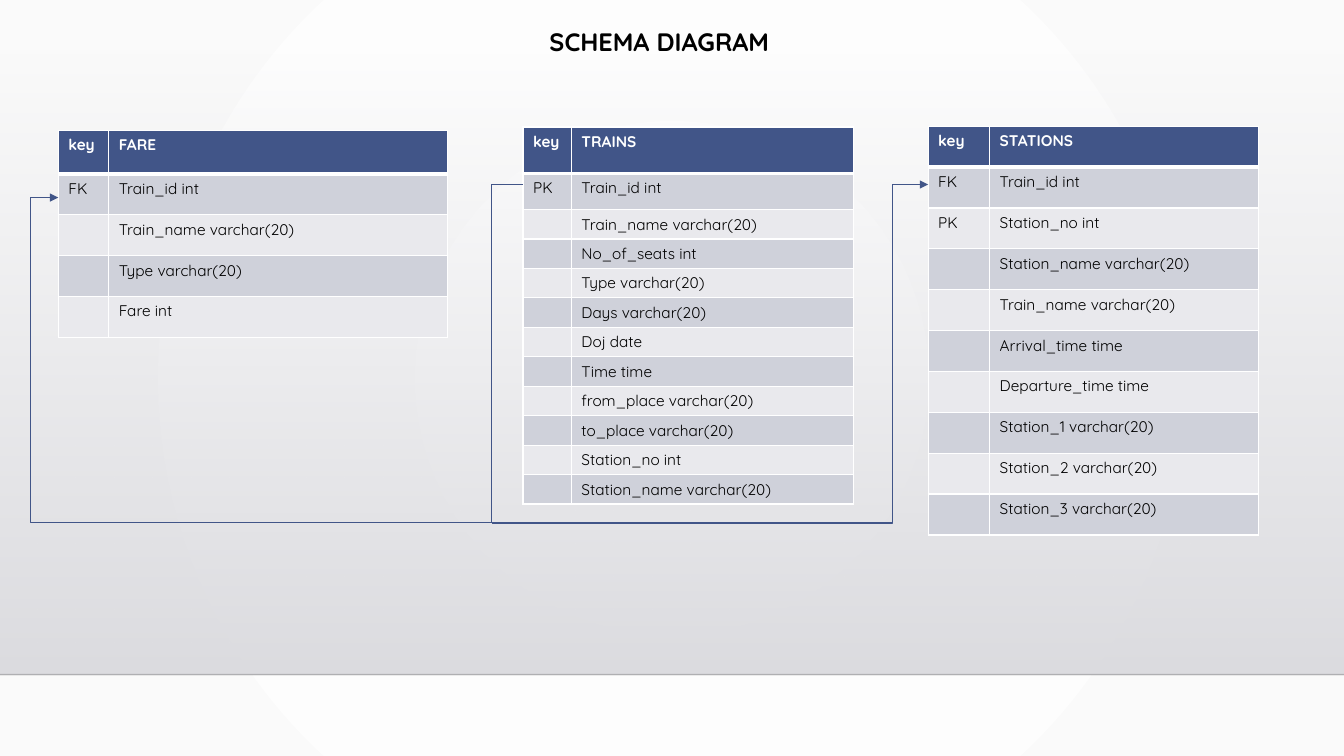
from lxml import etree
from pptx import Presentation
from pptx.dml.color import RGBColor
from pptx.enum.shapes import MSO_CONNECTOR, MSO_SHAPE
from pptx.enum.text import MSO_AUTO_SIZE, PP_ALIGN
from pptx.oxml import parse_xml
from pptx.oxml.ns import nsdecls, qn
from pptx.util import Cm, Pt

FONT = "Quicksand"
NAVY, WHITE, BLACK = "415588", "FFFFFF", "000000"
BANDS = ("CFD1DA", "E9E9ED")
SLIDE_WIDTH, SLIDE_HEIGHT = 33.87, 19.05
PANEL_TOP, PANEL_BOTTOM = 1.3, 17

# Lengths in cm; "heights" holds header row, first row and remaining rows
TABLES = [
    {"name": "FARE", "at": (1.47, 3.28), "columns": (1.27, 8.53),
     "heights": (1.1, 1.03, 1.03),
     "fields": [("FK", "Train_id int"), ("", "Train_name varchar(20)"),
                ("", "Type varchar(20)"), ("", "Fare int")]},
    {"name": "TRAINS", "at": (13.18, 3.2), "columns": (1.22, 7.11),
     "heights": (1.17, 0.91, 0.74),
     "fields": [("PK", "Train_id int"), ("", "Train_name varchar(20)"),
                ("", "No_of_seats int"), ("", "Type varchar(20)"),
                ("", "Days varchar(20)"), ("", "Doj date"), ("", "Time time"),
                ("", "from_place varchar(20)"), ("", "to_place varchar(20)"),
                ("", "Station_no int"), ("", "Station_name varchar(20)")]},
    {"name": "STATIONS", "at": (23.39, 3.18), "columns": (1.55, 6.78),
     "heights": (1.03, 1.03, 1.03),
     "fields": [("FK", "Train_id int"), ("PK", "Station_no int"),
                ("", "Station_name varchar(20)"), ("", "Train_name varchar(20)"),
                ("", "Arrival_time time"), ("", "Departure_time time"),
                ("", "Station_1 varchar(20)"), ("", "Station_2 varchar(20)"),
                ("", "Station_3 varchar(20)")]},
]

# Start, end, position of the bend as a share of the width (None: straight), arrowhead
KEY_Y, JUNCTION, STATIONS_BEND = 4.65, (12.4, 13.18), (22.5, 4.65)
LINKS = [
    (STATIONS_BEND, (23.39, KEY_Y), None, True),
    (STATIONS_BEND, JUNCTION, 0, False),
    ((13.18, KEY_Y), JUNCTION, 1, False),
    (JUNCTION, (1.47, 4.98), 1.065, True),
]


def color(value):
    return RGBColor.from_string(value)


def set_gradient(fill, values):
    fill.gradient()
    for stop, value in zip(fill.gradient_stops, values):
        stop.color.rgb = color(value)


def set_alpha(color_element, percent):
    etree.SubElement(color_element, qn("a:alpha")).set("val", str(percent * 1000))


def add_line(shapes, start, end, line_color, width, bend=None, arrow=False):
    kind = MSO_CONNECTOR.STRAIGHT if bend is None else MSO_CONNECTOR.ELBOW
    connector = shapes.add_connector(kind, *map(Cm, start + end))
    connector.line.color.rgb = color(line_color)
    connector.line.width = Pt(width)
    properties = connector._element.spPr
    if bend is not None:
        guide = etree.SubElement(properties.find(".//" + qn("a:avLst")), qn("a:gd"))
        guide.set("name", "adj1")
        guide.set("fmla", f"val {round(bend * 100000)}")
    if arrow:
        etree.SubElement(properties.find(qn("a:ln")), qn("a:tailEnd")).set("type", "triangle")
    etree.SubElement(properties, qn("a:effectLst"))
    return connector


def add_background(slide):
    fill = slide.background.fill
    set_gradient(fill, (WHITE, "FAFAFA"))
    gradient = slide._element.find(".//" + qn("a:gradFill"))
    gradient.replace(gradient.find(qn("a:lin")), parse_xml(
        f'<a:path {nsdecls("a")} path="circle">'
        '<a:fillToRect l="50000" t="50000" r="50000" b="50000"/></a:path>'))

    panel = slide.shapes.add_shape(
        MSO_SHAPE.RECTANGLE, 0, Cm(PANEL_TOP), Cm(SLIDE_WIDTH), Cm(PANEL_BOTTOM - PANEL_TOP))
    panel.shadow.inherit = False
    panel.line.fill.background()
    set_gradient(panel.fill, ("DCDCE0", "DEDEE2"))
    panel.fill.gradient_angle = 270
    stops = panel._element.spPr.iter(qn("a:srgbClr"))
    for stop_color, percent in zip(list(stops), (0, 100)):
        set_alpha(stop_color, percent)

    edge = add_line(slide.shapes, (0, PANEL_BOTTOM), (SLIDE_WIDTH, PANEL_BOTTOM), "000001", 1)
    set_alpha(edge._element.spPr.find(".//" + qn("a:srgbClr")), 20)


def format_cell(cell, text, fill_color, header):
    for side in "LRTB":
        width = Pt(3 if header and side == "B" else 1)
        cell._tc.get_or_add_tcPr().append(parse_xml(
            f'<a:ln{side} {nsdecls("a")} w="{width}"><a:solidFill>'
            f'<a:srgbClr val="{WHITE}"/></a:solidFill></a:ln{side}>'))
    cell.fill.solid()
    cell.fill.fore_color.rgb = color(fill_color)
    paragraph = cell.text_frame.paragraphs[0]
    if not text:
        paragraph._p.get_or_add_endParaRPr().set("sz", "1100")
        return
    run = paragraph.add_run()
    run.text = text
    run.font.name, run.font.size, run.font.bold = FONT, Pt(11), header
    run.font.color.rgb = color(WHITE if header else BLACK)


def add_schema_table(slide, entity):
    rows = [("key", entity["name"])] + entity["fields"]
    header, first, other = entity["heights"]
    heights = [header, first] + [other] * (len(rows) - 2)
    left, top = entity["at"]
    table = slide.shapes.add_table(
        len(rows), 2, Cm(left), Cm(top), Cm(sum(entity["columns"])), Cm(sum(heights))).table
    for column, width in zip(table.columns, entity["columns"]):
        column.width = Cm(width)
    for index, (texts, height) in enumerate(zip(rows, heights)):
        table.rows[index].height = Cm(height)
        fill_color = BANDS[(index - 1) % 2] if index else NAVY
        for cell, text in zip(table.rows[index].cells, texts):
            format_cell(cell, text, fill_color, index == 0)


def set_title(slide):
    title = slide.shapes.title
    title.left, title.top, title.width, title.height = Cm(8.13), Cm(0.53), Cm(16.97), Cm(1.02)
    title.text_frame.text = "SCHEMA DIAGRAM"
    title.text_frame.word_wrap = True
    title.text_frame.auto_size = MSO_AUTO_SIZE.SHAPE_TO_FIT_TEXT
    paragraph = title.text_frame.paragraphs[0]
    paragraph.alignment = PP_ALIGN.CENTER
    font = paragraph.runs[0].font
    font.name, font.size, font.bold = FONT, Pt(18), True
    font.color.rgb = color(BLACK)
    slide.shapes._spTree.append(title._element)  # in front of the panel


def main():
    presentation = Presentation()
    presentation.slide_width, presentation.slide_height = Cm(SLIDE_WIDTH), Cm(SLIDE_HEIGHT)
    slide = presentation.slides.add_slide(presentation.slide_layouts[5])
    add_background(slide)
    for entity in TABLES:
        add_schema_table(slide, entity)
    for start, end, bend, arrow in LINKS:
        add_line(slide.shapes, start, end, NAVY, 0.75, bend, arrow)
    set_title(slide)
    presentation.save("out.pptx")


if __name__ == "__main__":
    main()
